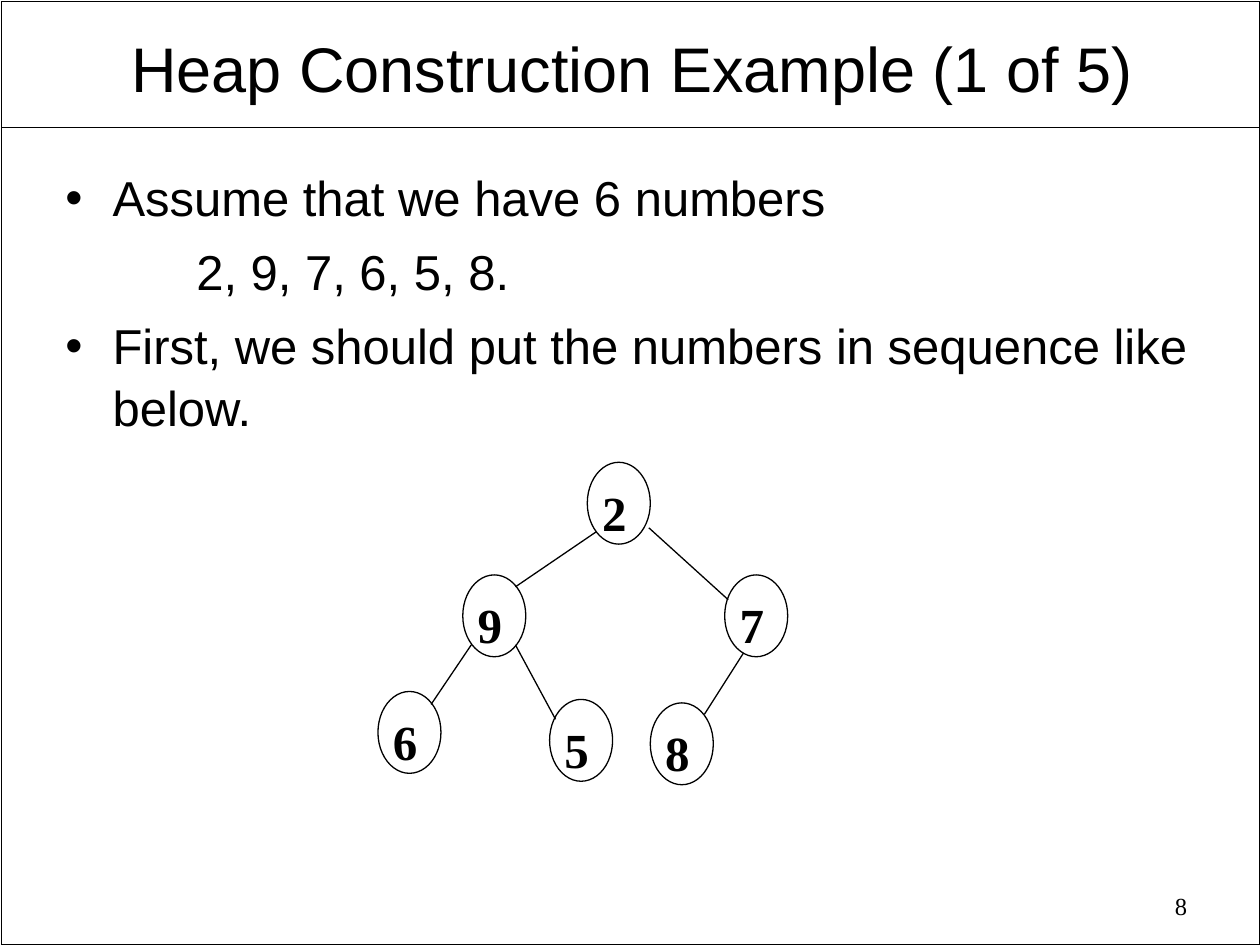
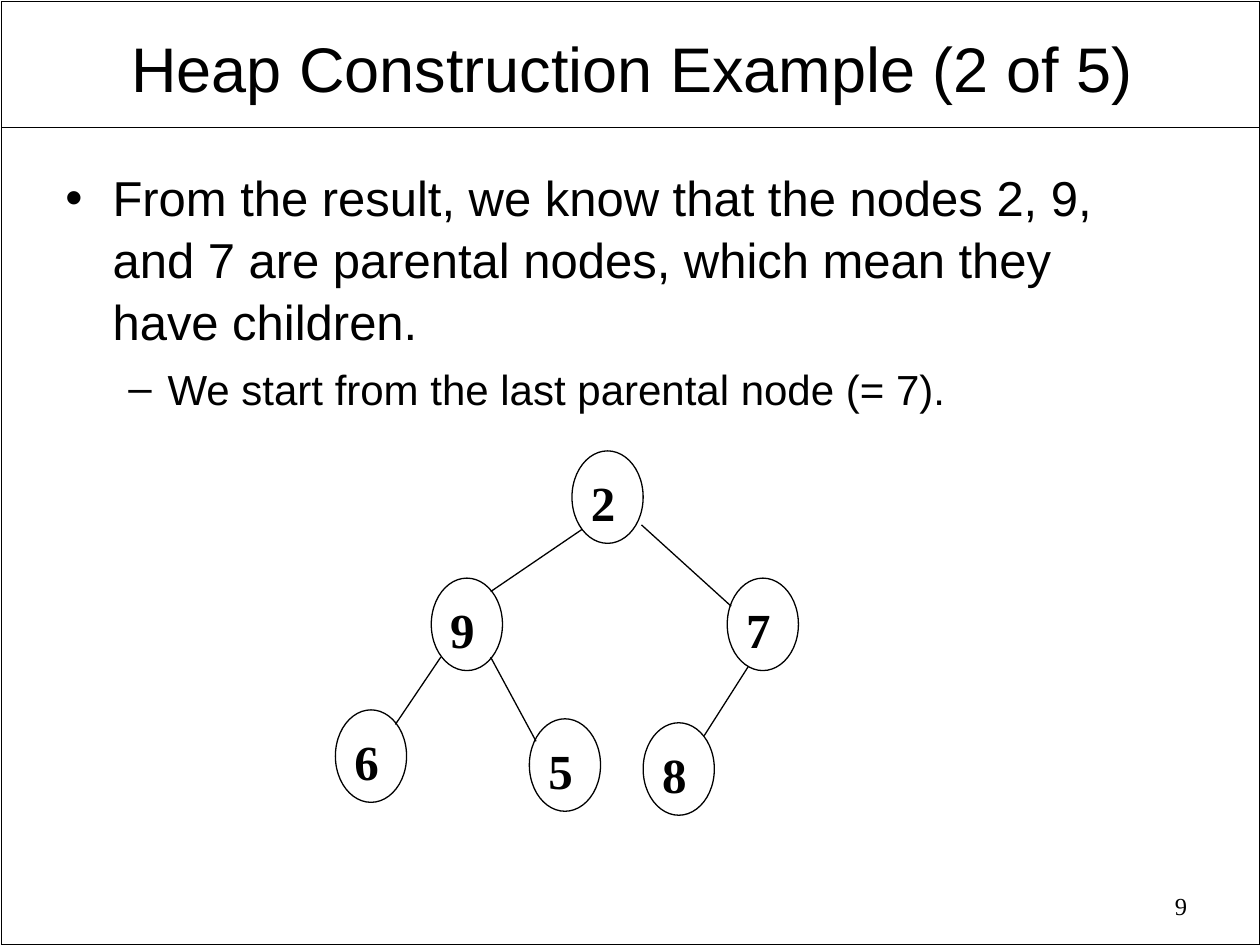
from lxml import etree
from pptx import Presentation
from pptx.dml.color import RGBColor
from pptx.enum.shapes import MSO_CONNECTOR as Link, MSO_SHAPE as Preset
from pptx.enum.text import MSO_ANCHOR as Anchor, PP_ALIGN as Align
from pptx.oxml.ns import qn
from pptx.util import Cm, Pt

COLORS = {"ink": "000000", "paper": "FFFFFF"}
SANS, SERIF = "Arial", "Times New Roman"
LINE_SPACING = 1.05

# Body styles: bullet, left margin and hanging indent (cm), size, space before, level
BODY_STYLES = {
    "point": ("•", 0.95, -0.95, 28, 7, 0),
    "numbers": (None, 2.64, 0, 28, 7, 1),
    "detail": ("–", 2.06, -0.79, 24, 6, 1),
}

# Heap tree in cm, measured from the top left of the root node
NODE_WIDTH, NODE_HEIGHT = 1.27, 1.65
LABEL_WIDTH, LABEL_HEIGHT = 0.99, 1.45
NODES = {
    "2": (0, 0),
    "9": (-2.51, 2.27), "7": (2.77, 2.27),
    "6": (-4.22, 4.62), "5": (-0.76, 4.78), "8": (1.27, 4.85),
}
EDGES = [
    ((0.18, 1.4), (-1.45, 2.51)),
    ((1.24, 1.32), (2.84, 2.77)),
    ((-2.34, 3.68), (-3.15, 4.88)),
    ((-1.45, 3.68), (-0.64, 5.18)),
    ((3.15, 3.84), (2.36, 5.08)),
]


def color(name):
    return RGBColor.from_string(COLORS[name])


class Deck:
    def __init__(self):
        self.prs = Presentation()
        self.prs.slide_width, self.prs.slide_height = Cm(25.4), Cm(19.05)
        self.slide = None

    def new_slide(self, title, number):
        self.slide = self.prs.slides.add_slide(self.prs.slide_layouts[6])
        background = self.slide.background.fill
        background.solid()
        background.fore_color.rgb = color("paper")
        # Frame and title rule
        shapes = self.slide.shapes
        self.outline(shapes, Preset.RECTANGLE, 0.03, 0.03, 25.37, 19.02, 1)
        self.line(shapes, (0.03, 2.57), (25.37, 2.57), 1)
        # Title and page number
        heading = self.text_box(shapes, 1.35, 0.48, 22.78, 1.68, Anchor.MIDDLE)
        heading.margin_left = heading.margin_right = Cm(0.18)
        heading.margin_top = heading.margin_bottom = Cm(0.08)
        self.set_text(heading.paragraphs[0], title, 36, SANS, Align.CENTER)
        page = self.text_box(shapes, 18.24, 17.81, 5.94, 0.91)
        self.set_text(page.paragraphs[0], number, 14, SERIF, Align.RIGHT)

    def outline(self, shapes, preset, left, top, width, height, weight):
        shape = shapes.add_shape(preset, Cm(left), Cm(top), Cm(width), Cm(height))
        shape.shadow.inherit = False
        shape.fill.background()
        shape.line.color.rgb = color("ink")
        shape.line.width = Pt(weight)

    def line(self, shapes, start, end, weight):
        connector = shapes.add_connector(
            Link.STRAIGHT, *(Cm(value) for value in start + end))
        connector.line.color.rgb = color("ink")
        connector.line.width = Pt(weight)
        properties = connector._element.find(qn("p:spPr"))
        etree.SubElement(properties, qn("a:effectLst"))

    def text_box(self, shapes, left, top, width, height, anchor=Anchor.TOP, wrap=True):
        box = shapes.add_textbox(Cm(left), Cm(top), Cm(width), Cm(height))
        frame = box.text_frame
        frame.word_wrap = wrap
        frame.vertical_anchor = anchor
        return frame

    def set_text(self, paragraph, text, size, face, align=Align.LEFT, bold=False):
        paragraph.text = text
        paragraph.alignment = align
        paragraph.line_spacing = LINE_SPACING
        for run in paragraph.runs:
            run.font.size = Pt(size)
            run.font.name = face
            run.font.bold = bold
            run.font.color.rgb = color("ink")

    def bullet(self, paragraph, mark, margin, indent):
        properties = paragraph._p.get_or_add_pPr()
        properties.set("marL", str(Cm(margin)))
        properties.set("indent", str(Cm(indent)))
        if mark:
            tint = etree.SubElement(properties, qn("a:buClr"))
            etree.SubElement(tint, qn("a:srgbClr"), val=COLORS["ink"])
            etree.SubElement(properties, qn("a:buFont"), typeface=SANS)
            etree.SubElement(properties, qn("a:buChar"), char=mark)
        else:
            etree.SubElement(properties, qn("a:buNone"))

    def body(self, width, height, items):
        frame = self.text_box(self.slide.shapes, 1.07, 3.2, width, height)
        for index, (style, text) in enumerate(items):
            mark, margin, indent, size, before, level = BODY_STYLES[style]
            paragraph = frame.add_paragraph() if index else frame.paragraphs[0]
            self.bullet(paragraph, mark, margin, indent)
            self.set_text(paragraph, text, size, SANS)
            paragraph.level = level
            if index:
                paragraph.space_before = Pt(before)

    def heap(self, root_left, root_top, scale=1.0):
        tree = self.slide.shapes.add_group_shape().shapes

        def place(point):
            return root_left + point[0] * scale, root_top + point[1] * scale

        for parent_end, child_end in EDGES:
            self.line(tree, place(parent_end), place(child_end), 0.75)
        width, height = NODE_WIDTH * scale, NODE_HEIGHT * scale
        for value, offset in NODES.items():
            left, top = place(offset)
            self.outline(tree, Preset.OVAL, left, top, width, height, 0.75)
            # Digits sit slightly left of the node's centre
            label = self.text_box(
                tree, left + (width - LABEL_WIDTH) / 2 - 0.09, top + 0.22 * scale,
                LABEL_WIDTH, LABEL_HEIGHT, wrap=False)
            self.set_text(label.paragraphs[0], value, 28, SERIF, Align.CENTER, bold=True)


def main():
    deck = Deck()

    # Numbers in sequence
    deck.new_slide("Heap Construction Example (1 of 5)", "8")
    deck.body(23.29, 5.54, [
        ("point", "Assume that we have 6 numbers"),
        ("numbers", "2, 9, 7, 6, 5, 8."),
        ("point", "First, we should put the numbers in sequence like below."),
    ])
    deck.heap(11.84, 9.32)

    # Parental nodes
    deck.new_slide("Heap Construction Example (2 of 5)", "9")
    deck.body(22.43, 5.89, [
        ("point", "From the result, we know that the nodes 2, 9, and 7 are "
                  "parental nodes, which mean they have children."),
        ("detail", "We start from the last parental node (= 7)."),
    ])
    deck.heap(11.53, 9.09, scale=1.13)

    deck.prs.save("out.pptx")


if __name__ == "__main__":
    main()
